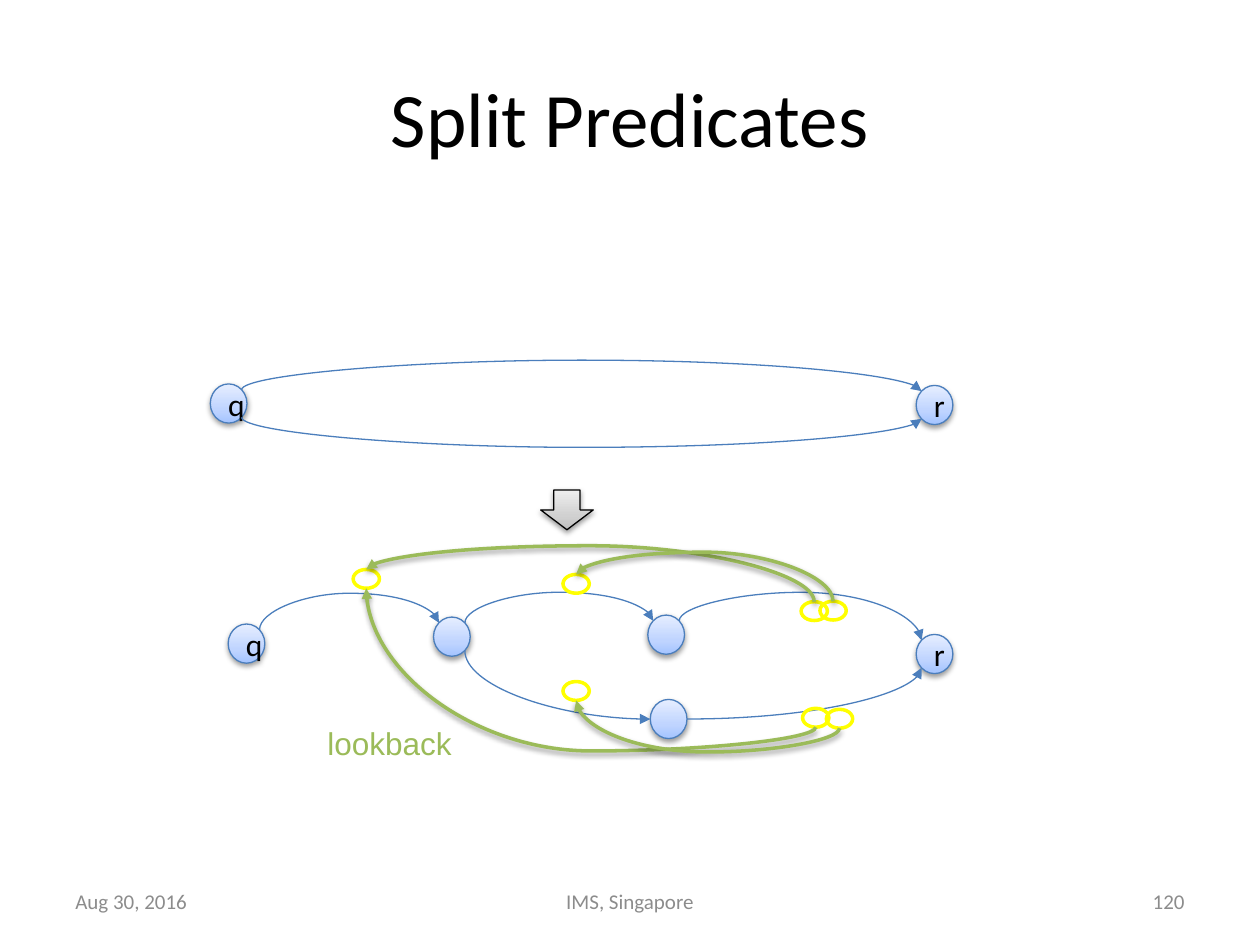
from copy import deepcopy
from dataclasses import dataclass
from math import sqrt
from typing import Optional

from lxml.etree import SubElement
from pptx import Presentation
from pptx.dml.color import RGBColor
from pptx.enum.shapes import MSO_CONNECTOR, MSO_SHAPE
from pptx.enum.text import MSO_ANCHOR, PP_ALIGN
from pptx.oxml.ns import qn
from pptx.util import Cm, Pt

BLACK = RGBColor(0x00, 0x00, 0x00)
GREY = RGBColor(0x8C, 0x8C, 0x8C)
BLUE = RGBColor(0x4B, 0x7E, 0xBC)
GREEN = RGBColor(0x9B, 0xBB, 0x59)
YELLOW = RGBColor(0xFF, 0xFF, 0x00)
BLUE_STOPS = (RGBColor(0xA4, 0xC4, 0xFF), RGBColor(0xBF, 0xD4, 0xFF), RGBColor(0xE6, 0xEE, 0xFF))
GREY_STOPS = (RGBColor(0xBD, 0xBD, 0xBD), RGBColor(0xD1, 0xD1, 0xD1), RGBColor(0xEE, 0xEE, 0xEE))

DIAGONAL = sqrt(0.5)
NE, SE = (DIAGONAL, -DIAGONAL), (DIAGONAL, DIAGONAL)
NW, SW = (-DIAGONAL, -DIAGONAL), (-DIAGONAL, DIAGONAL)
N, S, E, W = (0, -1), (0, 1), (1, 0), (-1, 0)


@dataclass(frozen=True)
class Oval:
    left: float
    top: float
    width: float
    height: float
    label: str = ""

    def port(self, side: tuple) -> tuple:
        return (self.left + self.width / 2 * (1 + side[0]),
                self.top + self.height / 2 * (1 + side[1]))


@dataclass(frozen=True)
class Arc:
    start: tuple
    end: tuple
    bend_y: Optional[float] = None
    leaves_sideways: bool = False


@dataclass(frozen=True)
class Label:
    text: str
    left: float
    top: float
    width: float
    height: float
    size: int
    color: RGBColor
    align: PP_ALIGN = PP_ALIGN.LEFT
    font: str = "Calibri"
    anchor: MSO_ANCHOR = MSO_ANCHOR.MIDDLE


def node(left: float, top: float, label: str = "") -> Oval:
    return Oval(left, top, 0.74, 0.79, label)


def ring(left: float, top: float) -> Oval:
    return Oval(left, top, 0.53, 0.38)


def write(shape, text: str, size: int, color: RGBColor, align: PP_ALIGN, font: str) -> None:
    tf = shape.text_frame
    tf.text = text
    p = tf.paragraphs[0]
    p.alignment = align
    r = p.runs[0]
    r.font.size, r.font.name = Pt(size), font
    r.font.color.rgb = color


def add_label(shapes, label: Label) -> None:
    s = shapes.add_textbox(Cm(label.left), Cm(label.top), Cm(label.width), Cm(label.height))
    s.text_frame.word_wrap = True
    s.text_frame.vertical_anchor = label.anchor
    write(s, label.text, label.size, label.color, label.align, label.font)


def set_line(shape, color: RGBColor, width: float) -> None:
    shape.line.color.rgb = color
    shape.line.width = Pt(width)


def set_gradient(shape, colors: tuple) -> None:
    shape.fill.gradient()
    shape.fill.gradient_angle = 90
    first = shape._element.spPr.find(f".//{qn('a:gs')}")
    first.addnext(deepcopy(first))
    for stop, color, position in zip(shape.fill.gradient_stops, colors, (0, 0.35, 1)):
        stop.color.rgb, stop.position = color, position


def set_effects(shape, shadow: bool) -> None:
    sp_pr = shape._element.spPr
    for old in sp_pr.findall(qn("a:effectLst")):
        sp_pr.remove(old)
    effects = SubElement(sp_pr, qn("a:effectLst"))
    if shadow:
        outer = SubElement(effects, qn("a:outerShdw"), blurRad=str(Pt(3.1)),
                           dist=str(Pt(1.6)), dir="5400000", rotWithShape="0")
        color = SubElement(outer, qn("a:srgbClr"), val=str(BLACK))
        SubElement(color, qn("a:alpha"), val="38000")


def add_preset(shapes, preset: MSO_SHAPE, oval: Oval):
    return shapes.add_shape(preset, Cm(oval.left), Cm(oval.top), Cm(oval.width), Cm(oval.height))


def add_shaded(shapes, preset: MSO_SHAPE, oval: Oval, stops: tuple, line: RGBColor) -> None:
    s = add_preset(shapes, preset, oval)
    set_gradient(s, stops)
    set_line(s, line, 0.75)
    set_effects(s, True)
    if oval.label:
        write(s, oval.label, 18, BLACK, PP_ALIGN.CENTER, "Calibri")


def add_ring(shapes, oval: Oval) -> None:
    s = add_preset(shapes, MSO_SHAPE.OVAL, oval)
    s.shadow.inherit = False
    s.fill.background()
    set_line(s, YELLOW, 2)


def add_arc(shapes, arc: Arc, color: RGBColor, width: float, shadow: bool) -> None:
    (x1, y1), (x2, y2) = arc.start, arc.end
    dx, dy = x2 - x1, y2 - y1
    c = shapes.add_connector(MSO_CONNECTOR.CURVE, 0, 0, 0, 0)
    w, h = (abs(dx), abs(dy)) if arc.leaves_sideways else (abs(dy), abs(dx))
    c.left, c.top = Cm((x1 + x2 - w) / 2), Cm((y1 + y2 - h) / 2)
    c.width, c.height = Cm(w), Cm(h)

    xfrm = c._element.spPr.find(qn("a:xfrm"))
    if arc.leaves_sideways:
        flip_h, flip_v = dx < 0, dy < 0
    else:
        xfrm.set("rot", "5400000")
        flip_h, flip_v = dy < 0, dx > 0
    xfrm.set("flipH", str(int(flip_h)))
    xfrm.set("flipV", str(int(flip_v)))

    geometry = c._element.spPr.find(qn("a:prstGeom"))
    if arc.bend_y is None:
        geometry.set("prst", "curvedConnector2")
    else:
        bend = round((arc.bend_y - y1) / dy * 100000)
        SubElement(geometry.find(qn("a:avLst")), qn("a:gd"), name="adj1", fmla=f"val {bend}")

    set_line(c, color, width)
    SubElement(c._element.spPr.find(qn("a:ln")), qn("a:tailEnd"), type="triangle")
    set_effects(c, shadow)


def main() -> None:
    prs = Presentation()
    prs.slide_width, prs.slide_height = Cm(25.4), Cm(19.05)
    shapes = prs.slides.add_slide(prs.slide_layouts[6]).shapes

    labels = (
        Label("Split Predicates", 1.27, 0.76, 22.86, 3.18, 44, BLACK, PP_ALIGN.CENTER),
        Label("Aug 30, 2016", 1.27, 17.66, 5.93, 1.01, 12, GREY),
        Label("IMS, Singapore", 8.68, 17.66, 8.04, 1.01, 12, GREY, PP_ALIGN.CENTER),
        Label("120", 18.2, 17.66, 5.93, 1.01, 12, GREY, PP_ALIGN.RIGHT),
        Label("lookback", 6.35, 14.48, 3.48, 1.03, 18, GREEN, font="Arial", anchor=MSO_ANCHOR.TOP),
    )
    for label in labels:
        add_label(shapes, label)

    add_shaded(shapes, MSO_SHAPE.DOWN_ARROW, Oval(10.9, 9.88, 1.06, 0.8), GREY_STOPS, BLACK)

    q_before, r_before = node(4.24, 7.74, "q"), node(18.47, 7.77, "r")
    q_after, r_after = node(4.6, 12.58, "q"), node(18.47, 12.79, "r")
    split, upper, lower = node(8.74, 12.44), node(13.06, 12.4), node(13.11, 14.1)
    for state in (q_before, r_before, q_after, r_after, split, upper, lower):
        add_shaded(shapes, MSO_SHAPE.OVAL, state, BLUE_STOPS, BLUE)

    transitions = (
        Arc(q_before.port(NE), r_before.port(NW), 7.26),
        Arc(q_before.port(SE), r_before.port(SW), 9.02),
        Arc(q_after.port(NE), split.port(NW), 11.96),
        Arc(split.port(NE), upper.port(NW), 11.94),
        Arc(upper.port(NE), r_after.port(NW), 11.94),
        Arc(lower.port(E), r_after.port(SW), leaves_sideways=True),
        Arc(split.port(SE), lower.port(W)),
    )
    for transition in transitions:
        add_arc(shapes, transition, BLUE, 0.75, False)

    first, second_up, second_down = ring(7.12, 11.48), ring(11.35, 11.58), ring(11.35, 13.74)
    up_left, up_right = ring(16.15, 12.13), ring(16.53, 12.12)
    down_left, down_right = ring(16.18, 14.28), ring(16.66, 14.3)
    for predicate in (first, second_up, second_down, up_left, up_right, down_left, down_right):
        add_ring(shapes, predicate)

    lookbacks = (
        Arc(up_left.port(N), first.port(N), 11),
        Arc(up_right.port(N), second_up.port(N), 11.13),
        Arc(down_left.port(S), first.port(S), 15.14),
        Arc(down_right.port(S), second_down.port(S), 15.16),
    )
    for lookback in lookbacks:
        add_arc(shapes, lookback, GREEN, 2, True)

    prs.save("out.pptx")


if __name__ == "__main__":
    main()
